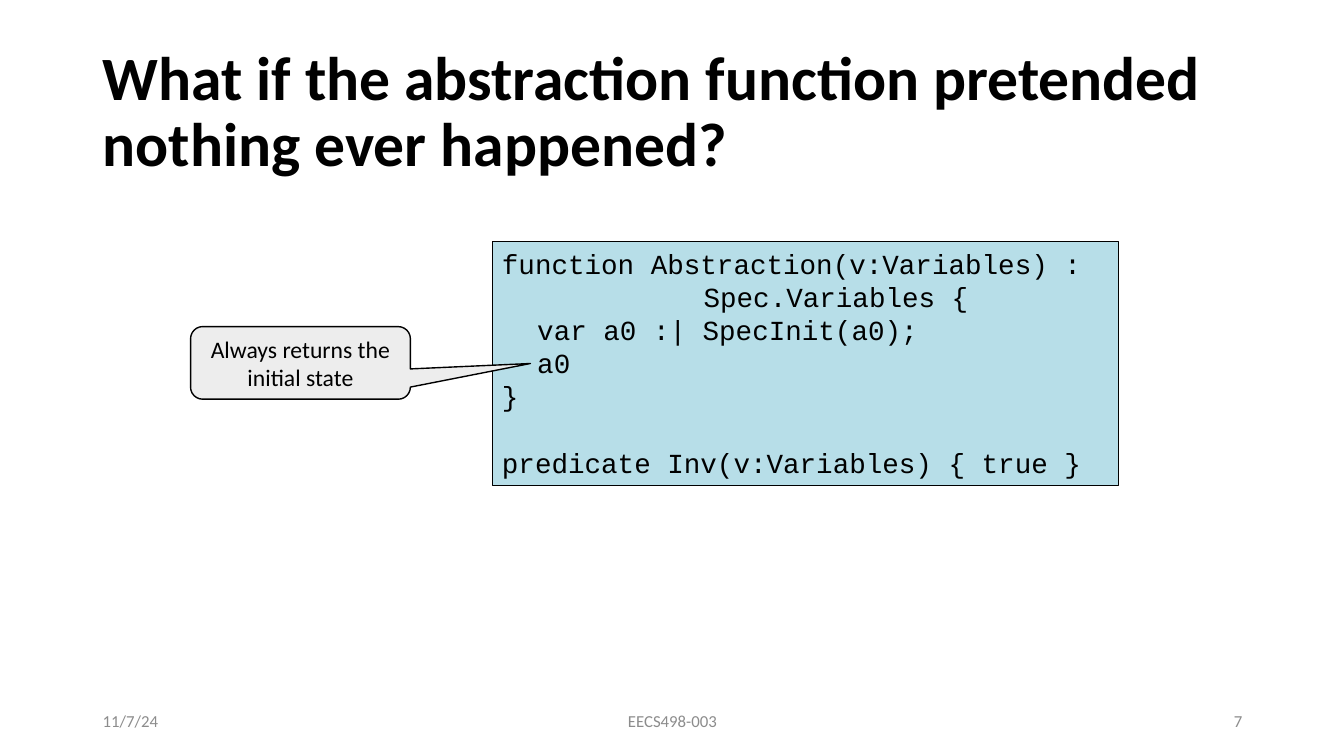
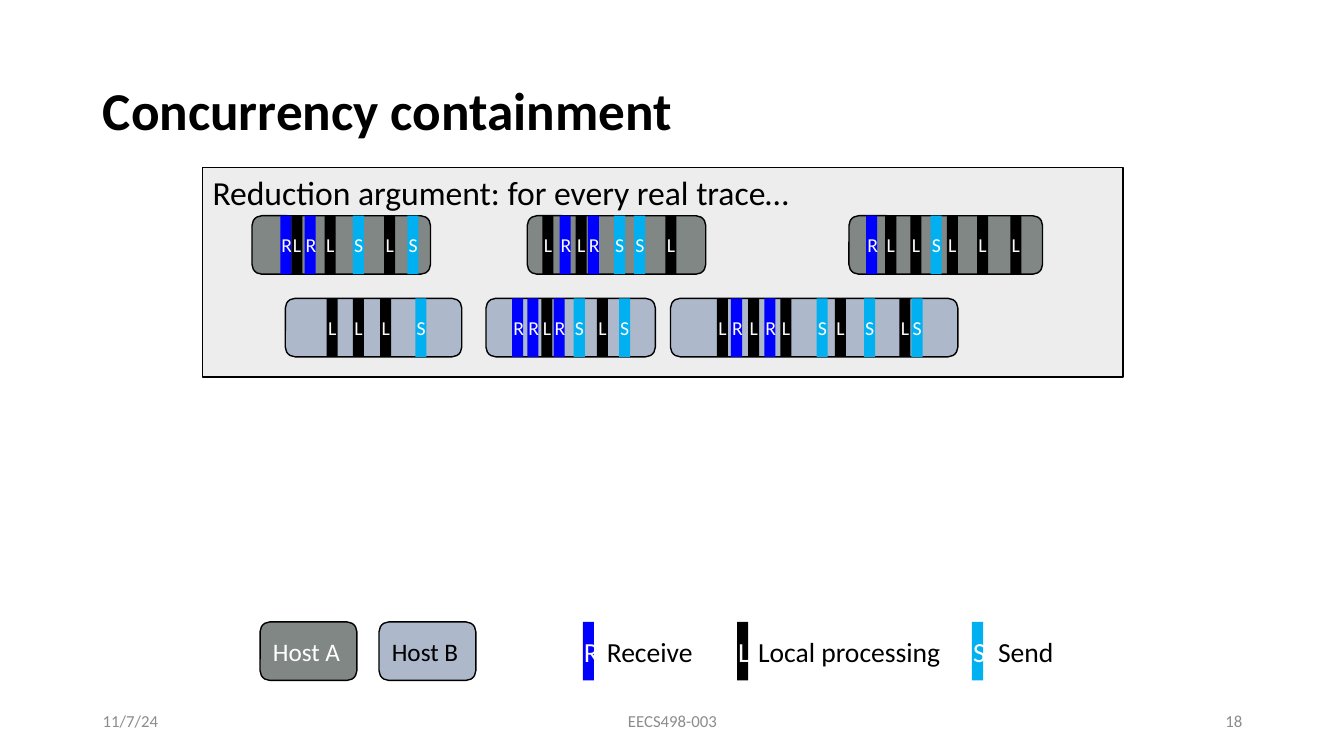
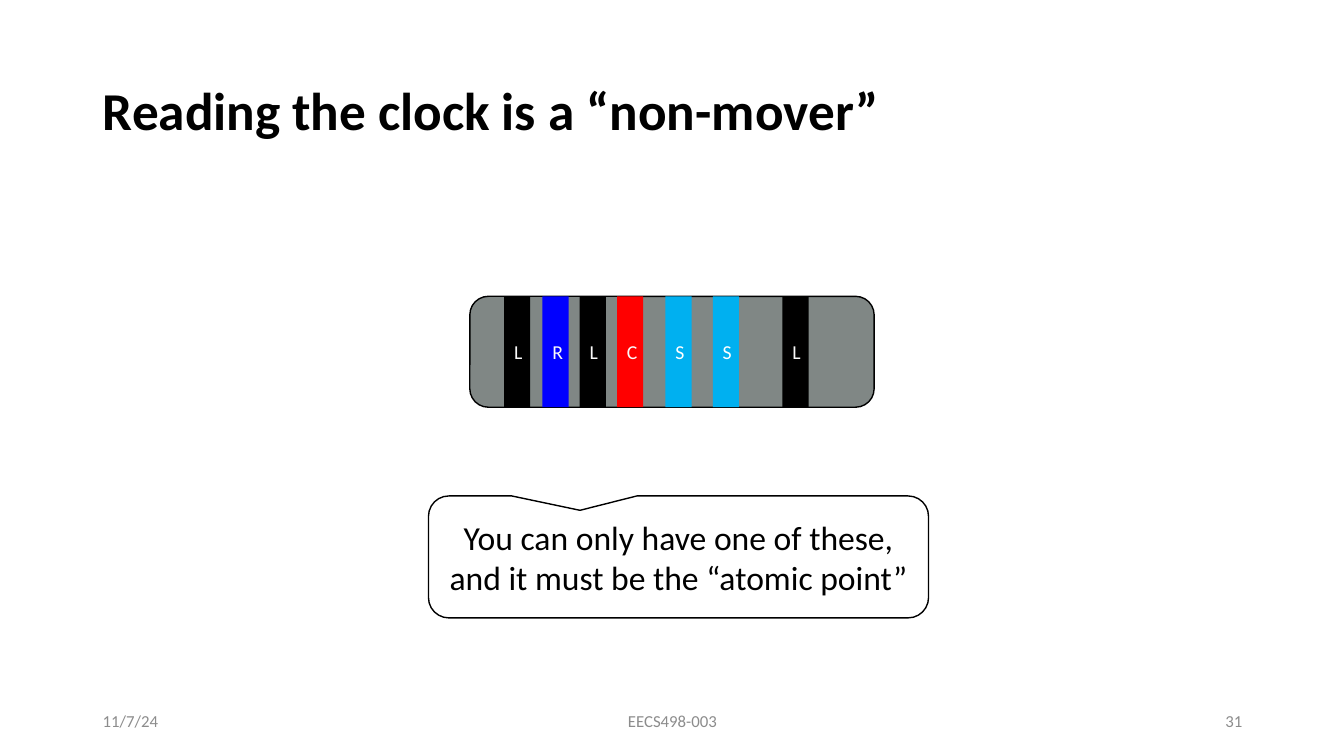
from pptx import Presentation
from pptx.dml.color import RGBColor
from pptx.enum import shapes, text
from pptx.util import Inches, Pt

COLORS = {
    "black": "000000",
    "white": "FFFFFF",
    "off_white": "FAFAFA",
    "panel": "EDEDED",
    "code": "B7DEE8",
    "footer": "8C8C8C",
    "host_a": "808785",
    "host_b": "ADB9CA",
    "receive": "0000FF",
    "send": "00B0F0",
    "clock": "FF0000",
}
STEP_STYLES = {
    "R": ("receive", "off_white"),
    "L": ("black", "off_white"),
    "S": ("send", "white"),
    "C": ("clock", "off_white"),
}
FONT = "Calibri"
CODE_FONT = "Courier New"
LEFT, CENTER, RIGHT = text.PP_ALIGN.LEFT, text.PP_ALIGN.CENTER, text.PP_ALIGN.RIGHT
TOP, MIDDLE = text.MSO_ANCHOR.TOP, text.MSO_ANCHOR.MIDDLE
RECTANGLE = shapes.MSO_SHAPE.RECTANGLE
ROUNDED = shapes.MSO_SHAPE.ROUNDED_RECTANGLE
CALLOUT = shapes.MSO_SHAPE.ROUNDED_RECTANGULAR_CALLOUT

CODE_LINES = [
    ("function Abstraction(v:Variables) :", 0, 0),
    ("Spec.Variables {", 2, 0),
    ("var a0 :| SpecInit(a0);", 0.35, 0),
    ("a0", 0.35, 0),
    ("}", 0, 0),
    ("predicate Inv(v:Variables) { true }", 0, 23.7),
]
ROW_TOPS = {"host_a": 2.14, "host_b": 2.96}
TRACES = [
    ("host_a", 2.5, 1.77, "RRLLLSS", [2.78, 3.02, 2.89, 3.22, 3.81, 3.5, 4.04]),
    ("host_b", 6.65, 2.85, "RRSSSLLLLL",
     [7.25, 7.58, 8.1, 8.57, 9.04, 7.11, 7.42, 7.74, 8.28, 8.92]),
    ("host_a", 5.23, 1.77, "RLLLSSR", [5.83, 5.38, 5.71, 6.6, 6.09, 6.29, 5.55]),
    ("host_b", 2.83, 1.75, "SLLL", [4.12, 3.77, 3.5, 3.24]),
    ("host_b", 4.82, 1.68, "RSSLLRR", [5.08, 6.14, 5.69, 5.92, 5.37, 5.23, 5.49]),
    ("host_a", 8.42, 1.92, "LLLLSLR", [8.78, 9.39, 9.69, 10.02, 9.23, 9.03, 8.59]),
]
HOST_LEGEND = [("Host A", "host_a", "white", 2.58), ("Host B", "host_b", "black", 3.76)]
STEP_LEGEND = [
    ("R", 5.78, "Receive", 5.92, 1.05),
    ("S", 9.64, "Send", 9.8, 0.75),
    ("L", 7.31, "Local processing", 7.42, 2.01),
]


def rgb(name):
    return RGBColor.from_string(COLORS[name])


def write(shape, content, size, color="black", align=LEFT, anchor=MIDDLE,
          font=FONT, bold=False, wrap=True):
    frame = shape.text_frame
    frame.text = content
    frame.word_wrap = wrap
    frame.auto_size = text.MSO_AUTO_SIZE.NONE
    frame.vertical_anchor = anchor
    for paragraph in frame.paragraphs:
        paragraph.alignment = align
        for run in paragraph.runs:
            run.font.name = font
            run.font.size = Pt(size)
            run.font.bold = bold
            run.font.color.rgb = rgb(color)


def add_box(slide, box, fill, kind=RECTANGLE, line_width=1):
    shape = slide.shapes.add_shape(kind, *map(Inches, box))
    shape.shadow.inherit = False
    shape.fill.solid()
    shape.fill.fore_color.rgb = rgb(fill)
    if line_width:
        shape.line.color.rgb = rgb("black")
        shape.line.width = Pt(line_width)
    else:
        shape.line.fill.background()
    return shape


def add_label(slide, box, content, size, **style):
    write(slide.shapes.add_textbox(*map(Inches, box)), content, size, **style)


def add_step(slide, letter, left, top, width, height, size=14.1):
    fill, color = STEP_STYLES[letter]
    bar = add_box(slide, (left, top, width, height), fill, line_width=0)
    write(bar, letter, size, color, CENTER)


def add_trace(slide, host, box, letters, lefts, step_width):
    add_box(slide, box, host, ROUNDED)
    for letter, left in zip(letters, lefts):
        add_step(slide, letter, left, box[1], step_width, box[3])


def add_callout(slide, box, fill, content, size, tip):
    callout = add_box(slide, box, fill, CALLOUT)
    callout.adjustments[0], callout.adjustments[1] = tip
    write(callout, content, size, align=CENTER)
    return callout


def add_code(slide, box, lines):
    shape = add_box(slide, box, "code", line_width=0.75)
    write(shape, "\n".join(line for line, _, _ in lines), 19.7, anchor=TOP, font=CODE_FONT)
    for paragraph, (_, indent, space) in zip(shape.text_frame.paragraphs, lines):
        paragraph.space_before = Pt(space)
        if indent:
            paragraph._p.get_or_add_pPr().set("marL", str(Inches(indent)))


def add_slide(presentation, title, number, title_size=38):
    slide = presentation.slides.add_slide(presentation.slide_layouts[5])
    heading = slide.shapes.title
    heading.left, heading.top, heading.width, heading.height = map(
        Inches, (0.92, 0.4, 11.5, 1.45))
    write(heading, title, title_size, bold=True)
    heading.text_frame.paragraphs[0].line_spacing = 0.9
    footers = [("11/7/24", 0.92, 3, LEFT), ("EECS498-003", 4.42, 4.5, CENTER),
               (str(number), 9.42, 3, RIGHT)]
    for content, left, width, align in footers:
        add_label(slide, (left, 6.95, width, 0.4), content, 12, color="footer", align=align)
    return slide


def build_abstraction(presentation):
    slide = add_slide(
        presentation, "What if the abstraction function pretended nothing ever happened?", 7, 44)
    add_code(slide, (4.88, 2.4, 6.21, 2.42), CODE_LINES)
    callout = add_callout(slide, (1.89, 3.24, 2.18, 0.72), "panel",
                          "Always returns the initial state", 16.9, (1.046, 0.009))
    frame = callout.text_frame
    frame.margin_left = frame.margin_right = Inches(0.04)
    frame.margin_top = frame.margin_bottom = Inches(0.04)


def build_containment(presentation):
    slide = add_slide(presentation, "Concurrency containment", 18)
    for letter, left, name, name_left, name_width in STEP_LEGEND:
        add_step(slide, letter, left, 6.17, 0.11, 0.58, 19.7)
        add_label(slide, (name_left, 6.25, name_width, 0.43), name, 19.7,
                  anchor=TOP, wrap=False)
    for name, fill, color, left in HOST_LEGEND:
        host_box = add_box(slide, (left, 6.17, 0.96, 0.58), fill, ROUNDED)
        write(host_box, name, 18, color)
    panel = add_box(slide, (2.01, 1.66, 9.13, 2.08), "panel")
    write(panel, "Reduction argument: for every real trace…", 24, anchor=TOP)
    for host, left, width, letters, lefts in TRACES:
        add_trace(slide, host, (left, ROW_TOPS[host], width, 0.58), letters, lefts, 0.11)


def build_clock(presentation):
    slide = add_slide(presentation, "Reading the clock is a “non-mover”", 31)
    add_trace(slide, "host_a", (4.66, 2.94, 4.01, 1.1), "CLLLSSR",
              [6.12, 5, 5.75, 7.76, 6.6, 7.07, 5.38], 0.26)
    add_callout(slide, (4.25, 4.92, 4.96, 1.21), "white",
                "You can only have one of these, and it must be the “atomic point”",
                24, (-0.197, -0.382))


def main():
    presentation = Presentation()
    presentation.slide_width = Inches(13.33)
    presentation.slide_height = Inches(7.5)
    build_abstraction(presentation)
    build_containment(presentation)
    build_clock(presentation)
    presentation.save("out.pptx")


if __name__ == "__main__":
    main()
